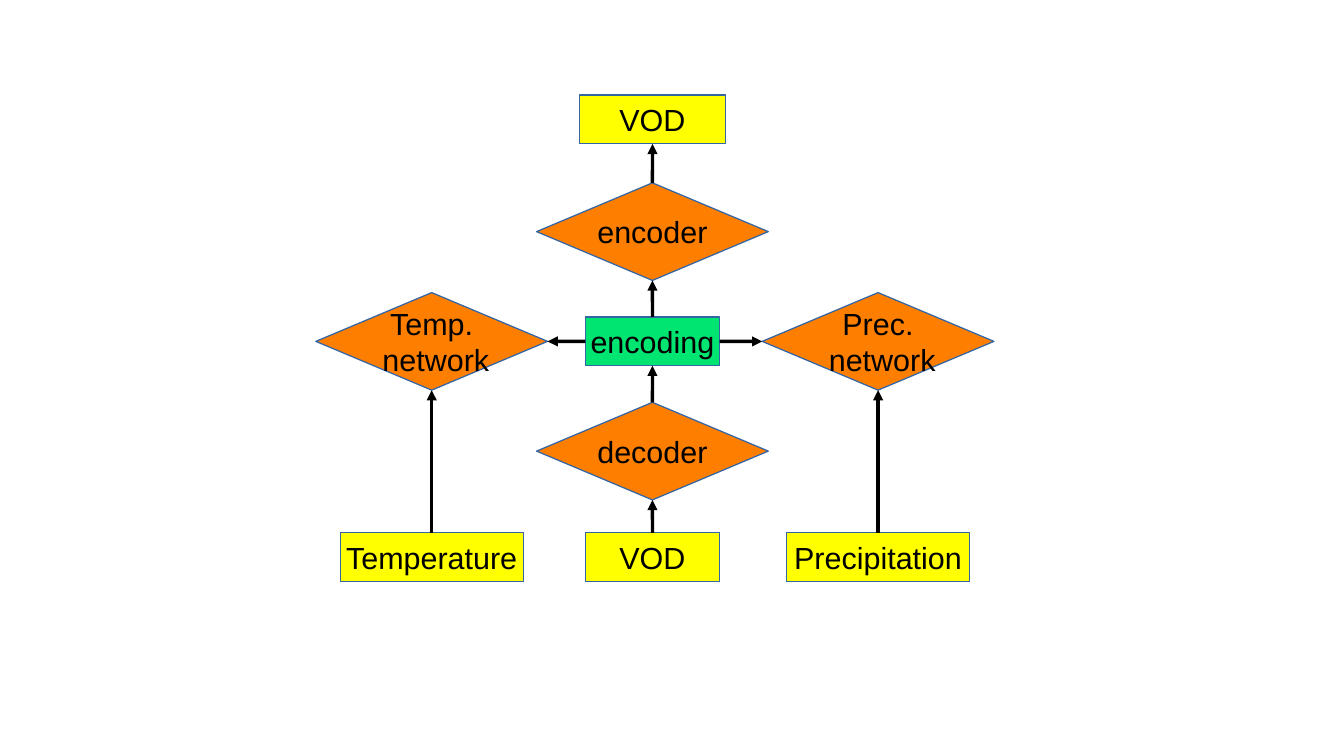
import pptx
import pptx.dml.color
import pptx.enum.shapes
import pptx.enum.text
import pptx.oxml
import pptx.oxml.ns
import pptx.util
from pptx.util import Inches

COLORS = {
    "data": "FFFF00",
    "network": "FE7F00",
    "encoding": "00E472",
    "outline": "3465A4",
    "ink": "000000",
}
SHAPES = pptx.enum.shapes.MSO_SHAPE
TOP, LEFT, BOTTOM, RIGHT = range(4)  # connection sites of rectangles and diamonds
BOX_HEIGHT = 0.4
DIAMOND_WIDTH, DIAMOND_HEIGHT = 1.9, 0.8


def color(name):
    return pptx.dml.color.RGBColor.from_string(COLORS[name])


def add_node(slide, kind, text, center_x, center_y, width, height):
    """Add a labelled shape centred on the given point, in inches."""
    preset = SHAPES.DIAMOND if kind == "network" else SHAPES.RECTANGLE
    shape = slide.shapes.add_shape(
        preset, Inches(center_x - width / 2), Inches(center_y - height / 2),
        Inches(width), Inches(height))
    shape.shadow.inherit = False
    shape.fill.solid()
    shape.fill.fore_color.rgb = color(kind)
    shape.line.color.rgb = color("outline")
    shape.line.width = pptx.util.Pt(0)
    frame = shape.text_frame
    frame.word_wrap = False
    frame.vertical_anchor = pptx.enum.text.MSO_ANCHOR.MIDDLE
    frame.text = text
    for paragraph in frame.paragraphs:
        paragraph.alignment = pptx.enum.text.PP_ALIGN.CENTER
        for run in paragraph.runs:
            run.font.name = "Arial"
            run.font.size = pptx.util.Pt(18)
            run.font.color.rgb = color("ink")
    return shape


def add_box(slide, kind, text, center_x, center_y, width):
    return add_node(slide, kind, text, center_x, center_y, width, BOX_HEIGHT)


def add_diamond(slide, text, center_x, center_y):
    return add_node(slide, "network", text, center_x, center_y,
                    DIAMOND_WIDTH, DIAMOND_HEIGHT)


def add_arrow(slide, source, target, source_site=TOP, target_site=BOTTOM):
    connector = slide.shapes.add_connector(
        pptx.enum.shapes.MSO_CONNECTOR.STRAIGHT, 0, 0, 0, 0)
    connector.begin_connect(source, source_site)
    connector.end_connect(target, target_site)
    connector.line.color.rgb = color("ink")
    connector.line.width = pptx.util.Pt(0)
    line = connector.line._get_or_add_ln()
    head = pptx.oxml.parse_xml(
        f'<a:tailEnd {pptx.oxml.ns.nsdecls("a")} type="triangle"/>')
    line.append(head)
    connector._element.spPr.append(
        pptx.oxml.parse_xml(f'<a:effectLst {pptx.oxml.ns.nsdecls("a")}/>'))


def add_network_diagram(slide, left, top):
    """Draw the flow from the inputs at the bottom to the output at the top."""
    temperature_x, vod_x, precipitation_x = left + 0.95, left + 2.76, left + 4.61
    encoding_y, input_y = top + 2.02, top + 3.79

    output = add_box(slide, "data", "VOD", vod_x, top + 0.2, 1.2)
    vod = add_box(slide, "data", "VOD", vod_x, input_y, 1.1)
    encoder = add_diamond(slide, "encoder", vod_x, encoding_y - 0.9)
    encoding = add_box(slide, "encoding", "encoding", vod_x, encoding_y, 1.1)
    decoder = add_diamond(slide, "decoder", vod_x, encoding_y + 0.9)
    column = [vod, decoder, encoding, encoder, output]
    for source, target in zip(column, column[1:]):
        add_arrow(slide, source, target)

    branches = [
        ("Temperature", "Temp.\n network", temperature_x, LEFT, RIGHT),
        ("Precipitation", "Prec.\n network", precipitation_x, RIGHT, LEFT),
    ]
    for input_text, network_text, center_x, encoding_site, network_site in branches:
        source = add_box(slide, "data", input_text, center_x, input_y, 1.5)
        network = add_diamond(slide, network_text, center_x, encoding_y)
        add_arrow(slide, source, network)
        add_arrow(slide, encoding, network, encoding_site, network_site)


def main():
    presentation = pptx.Presentation()
    presentation.slide_width = Inches(11.02)
    presentation.slide_height = Inches(6.2)
    slide = presentation.slides.add_slide(presentation.slide_layouts[6])
    add_network_diagram(slide, left=2.59, top=0.78)
    presentation.save("out.pptx")


if __name__ == "__main__":
    main()
